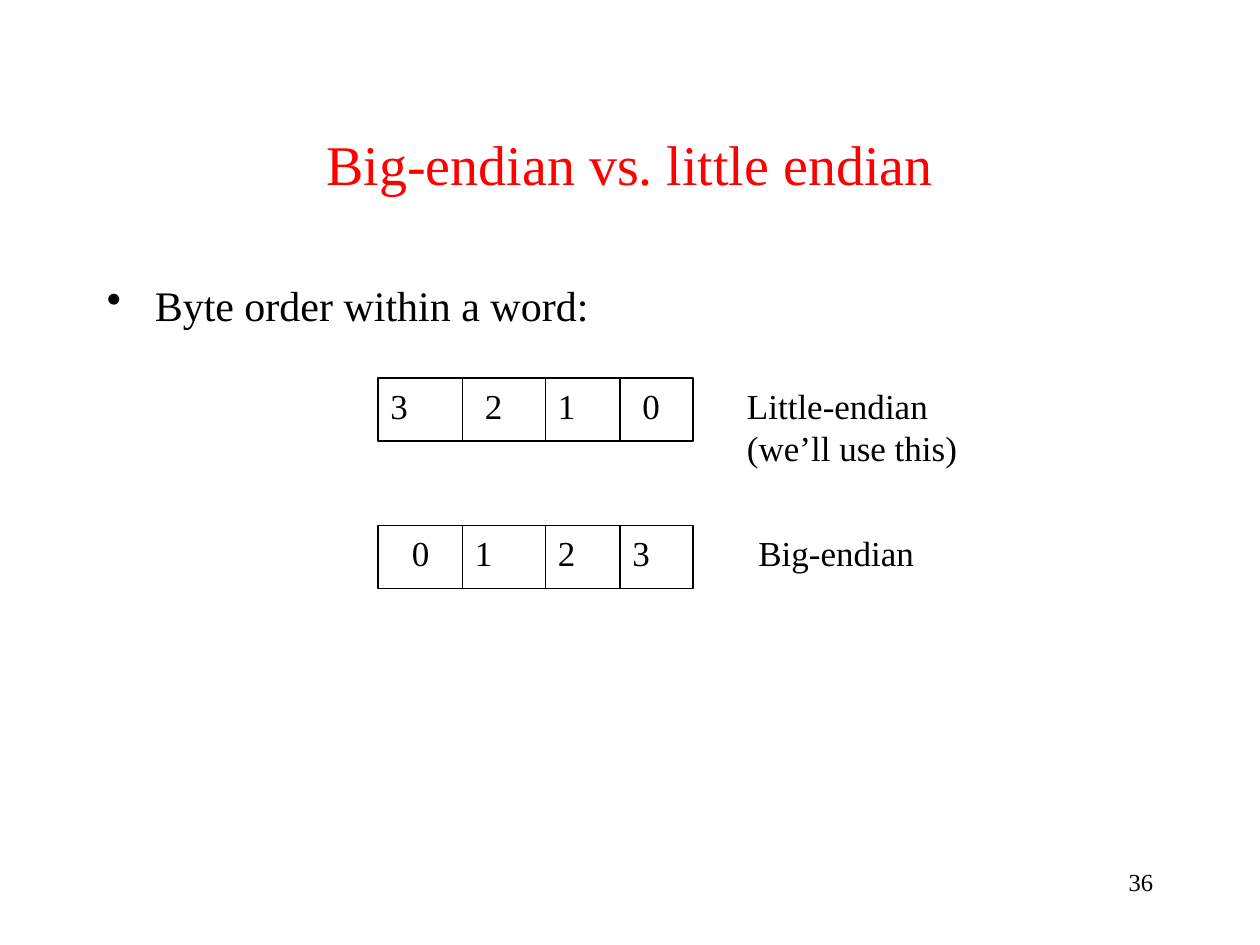
from typing import NamedTuple

import pptx
import pptx.dml.color
import pptx.enum.shapes
import pptx.enum.text
import pptx.oxml
import pptx.oxml.ns
import pptx.util
from pptx.util import Inches

FONT = "Times New Roman"
BLACK = "000000"
RED = "FF0000"
WORD_LEFT, WORD_WIDTH, WORD_HEIGHT = 3, 2.5, 0.5
LINE_WIDTH = 0.75
LABEL_HEIGHT = 0.43


class Label(NamedTuple):
    text: str
    left: float
    width: float
    height: float = LABEL_HEIGHT


class Word(NamedTuple):
    top: float
    dividers: tuple[float, ...]
    labels: tuple[Label, ...]


WORDS = (
    Word(3, (3.67, 4.33, 4.92, 5.5), (
        Label("3", 3, 1.42),
        Label("2", 3.75, 1.08),
        Label("1", 4.33, 1.42),
        Label("0", 5, 0.75),
        Label("Little-endian (we’ll use this)", 5.83, 2.08, 0.77),
    )),
    Word(4.17, (3.67, 4.33, 4.92), (
        Label("0", 3.17, 0.75),
        Label("1", 3.67, 1.83),
        Label("2", 4.33, 1.08),
        Label("3", 4.92, 2.25),
        Label("Big-endian", 5.92, 2.17),
    )),
)


def rgb(value: str) -> pptx.dml.color.RGBColor:
    return pptx.dml.color.RGBColor.from_string(value)


def add_text(slide, text: str, left: float, top: float, width: float,
             height: float, *, size: float = 20, color: str = BLACK,
             align=pptx.enum.text.PP_ALIGN.LEFT,
             anchor=pptx.enum.text.MSO_ANCHOR.TOP, bullet: str = "",
             indent: float = 0.38) -> None:
    box = slide.shapes.add_textbox(Inches(left), Inches(top),
                                   Inches(width), Inches(height))
    frame = box.text_frame
    frame.word_wrap = True
    frame.vertical_anchor = anchor
    paragraph = frame.paragraphs[0]
    paragraph.alignment = align
    run = paragraph.add_run()
    run.text = text
    run.font.name = FONT
    run.font.size = pptx.util.Pt(size)
    run.font.color.rgb = rgb(color)
    if bullet:
        properties = paragraph._p.get_or_add_pPr()
        properties.set("marL", str(Inches(indent)))
        properties.set("indent", str(-Inches(indent)))
        mark = pptx.oxml.parse_xml(
            f'<a:buChar {pptx.oxml.ns.nsdecls("a")} char="{bullet}"/>')
        properties.append(mark)


def style_line(line) -> None:
    line.color.rgb = rgb(BLACK)
    line.width = pptx.util.Pt(LINE_WIDTH)


def add_divider(slide, x: float, top: float) -> None:
    divider = slide.shapes.add_connector(
        pptx.enum.shapes.MSO_CONNECTOR.STRAIGHT,
        Inches(x), Inches(top), Inches(x), Inches(top + WORD_HEIGHT))
    style_line(divider.line)
    divider._element.spPr.append(pptx.oxml.parse_xml(
        f'<a:effectLst {pptx.oxml.ns.nsdecls("a")}/>'))


def add_word(slide, word: Word) -> None:
    outline = slide.shapes.add_shape(
        pptx.enum.shapes.MSO_SHAPE.RECTANGLE, Inches(WORD_LEFT),
        Inches(word.top), Inches(WORD_WIDTH), Inches(WORD_HEIGHT))
    outline.shadow.inherit = False
    outline.fill.background()
    style_line(outline.line)
    for x in word.dividers:
        add_divider(slide, x, word.top)
    for label in word.labels:
        add_text(slide, label.text, label.left, word.top,
                 label.width, label.height)


def main() -> None:
    deck = pptx.Presentation()
    deck.slide_width, deck.slide_height = Inches(10), Inches(7.5)
    slide = deck.slides.add_slide(deck.slide_layouts[6])

    # Slide number, title and opening bullet
    add_text(slide, "36", 7.17, 6.83, 2.08, 0.5, size=14,
             align=pptx.enum.text.PP_ALIGN.RIGHT)
    add_text(slide, "Big-endian vs. little endian", 0.75, 0.67, 8.5, 1.25,
             size=32, color=RED, align=pptx.enum.text.PP_ALIGN.CENTER,
             anchor=pptx.enum.text.MSO_ANCHOR.MIDDLE)
    add_text(slide, "Byte order within a word:", 0.75, 2.17, 7.42, 2.67,
             size=24, bullet="•")

    # Byte layouts of the two words
    for word in WORDS:
        add_word(slide, word)

    deck.save("out.pptx")


if __name__ == "__main__":
    main()
